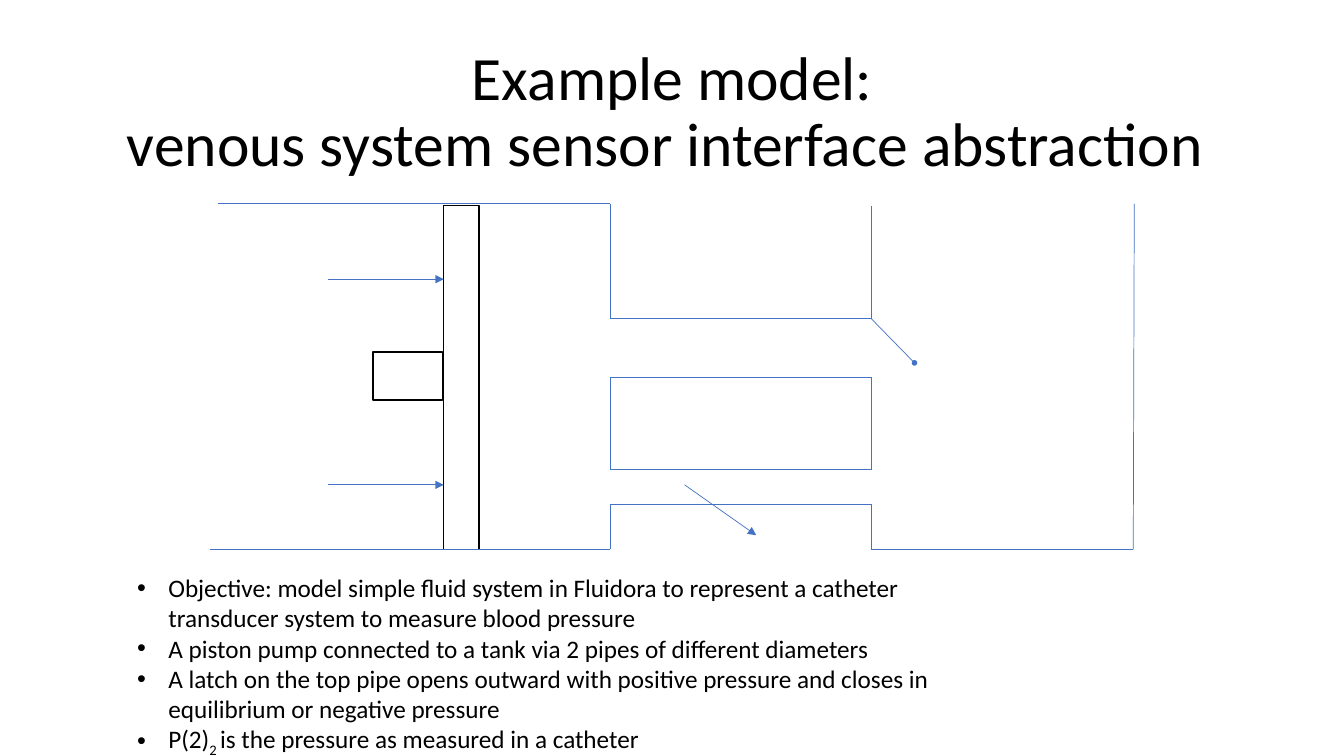
"""Build the slide on the venous system sensor interface model."""
import pptx
import pptx.util
import pptx.dml.color
import pptx.enum.shapes
import pptx.enum.text
import lxml.etree
import pptx.oxml.ns

Inches, Pt = pptx.util.Inches, pptx.util.Pt
RGB = pptx.dml.color.RGBColor.from_string
qn = pptx.oxml.ns.qn
COLORS = {"text": "000000", "piston": "000000", "pipe": "4472C4"}


def add_run(p, text, size):
    r = p.add_run()
    r.text = text
    r.font.name = "Calibri"
    r.font.size = Pt(size)
    r.font.color.rgb = RGB(COLORS["text"])
    return r


def add_line(shapes, start, end, tail=None, tail_size="med"):
    c = shapes.add_connector(pptx.enum.shapes.MSO_CONNECTOR.STRAIGHT,
                             *[Inches(v) for v in start + end])
    c.line.color.rgb = RGB(COLORS["pipe"])
    c.line.width = Pt(0.5)
    spPr = c._element.spPr
    if tail:
        lxml.etree.SubElement(spPr.find(qn("a:ln")), qn("a:tailEnd"),
                              type=tail, w=tail_size, len=tail_size)
    lxml.etree.SubElement(spPr, qn("a:effectLst"))


prs = pptx.Presentation()
prs.slide_width, prs.slide_height = Inches(13.33), Inches(7.5)
s = prs.slides.add_slide(prs.slide_layouts[1])

title, body = s.placeholders
boxes = [(title, (0.92, 0.4, 11.5, 1.45), pptx.enum.text.MSO_ANCHOR.MIDDLE),
         (body, (1.26, 5.63, 8.09, 2.22), pptx.enum.text.MSO_ANCHOR.TOP)]
for sp, box, anchor in boxes:
    sp.left, sp.top, sp.width, sp.height = [Inches(v) for v in box]
    sp.text_frame.auto_size = pptx.enum.text.MSO_AUTO_SIZE.NONE
    sp.text_frame.vertical_anchor = anchor

p = title.text_frame.paragraphs[0]
p.alignment = pptx.enum.text.PP_ALIGN.CENTER
p.line_spacing = 0.9
add_run(p, "Example model:", 44)
p.add_line_break()
add_run(p, "venous system sensor interface abstraction ", 44)

bullets = [
    ["Objective: model simple fluid system in Fluidora to represent a catheter "
     "transducer system to measure blood pressure"],
    ["A piston pump connected to a tank via 2 pipes of different diameters"],
    ["A latch on the top pipe opens outward with positive pressure and closes in "
     "equilibrium or negative pressure"],
    ["P(2)", "2 ", "is the pressure as measured in a catheter"],
]
tf = body.text_frame
for i, parts in enumerate(bullets):
    p = tf.add_paragraph() if i else tf.paragraphs[0]
    pPr = p._p.get_or_add_pPr()
    pPr.set("marL", str(Inches(0.31)))
    pPr.set("indent", str(-Inches(0.31)))
    p.space_before = Pt(0)
    for text in parts:
        r = add_run(p, text, 18)
        if text == "2 ":
            r._r.get_or_add_rPr().set("baseline", "-25000")

diagram = s.shapes.add_group_shape().shapes
piston_head = (4.4, 2.04, 0.35, 3.41)
piston_rod = (3.7, 3.49, 0.69, 0.48)
for box in (piston_head, piston_rod):
    sp = diagram.add_shape(pptx.enum.shapes.MSO_SHAPE.RECTANGLE,
                           *[Inches(v) for v in box])
    sp.shadow.inherit = False
    sp.fill.background()
    sp.line.color.rgb = RGB(COLORS["piston"])
    sp.line.width = Pt(1)

top, bottom = 2.02, 5.45
pipe_left, pipe_right, tank_right = 6.05, 8.64, 11.24
walls = [
    [(2.16, top), (pipe_left, top), (pipe_left, 3.16), (pipe_right, 3.16),
     (pipe_right, 2.04)],
    [(pipe_left, 3.74), (pipe_right, 3.74), (pipe_right, 4.66),
     (pipe_left, 4.66), (pipe_left, 3.74)],
    [(2.08, bottom), (pipe_left, bottom), (pipe_left, 5), (pipe_right, 5),
     (pipe_right, bottom), (tank_right, bottom), (11.25, top)],
]
for wall in walls:
    for start, end in zip(wall, wall[1:]):
        add_line(diagram, start, end)

add_line(diagram, (pipe_right, 3.16), (9.07, 3.6), "oval", "sm")
add_line(diagram, (6.79, 4.81), (7.5, 5.31), "triangle")
for y in (2.77, 4.81):
    add_line(diagram, (3.25, y), (4.4, y), "triangle")

prs.save("out.pptx")
